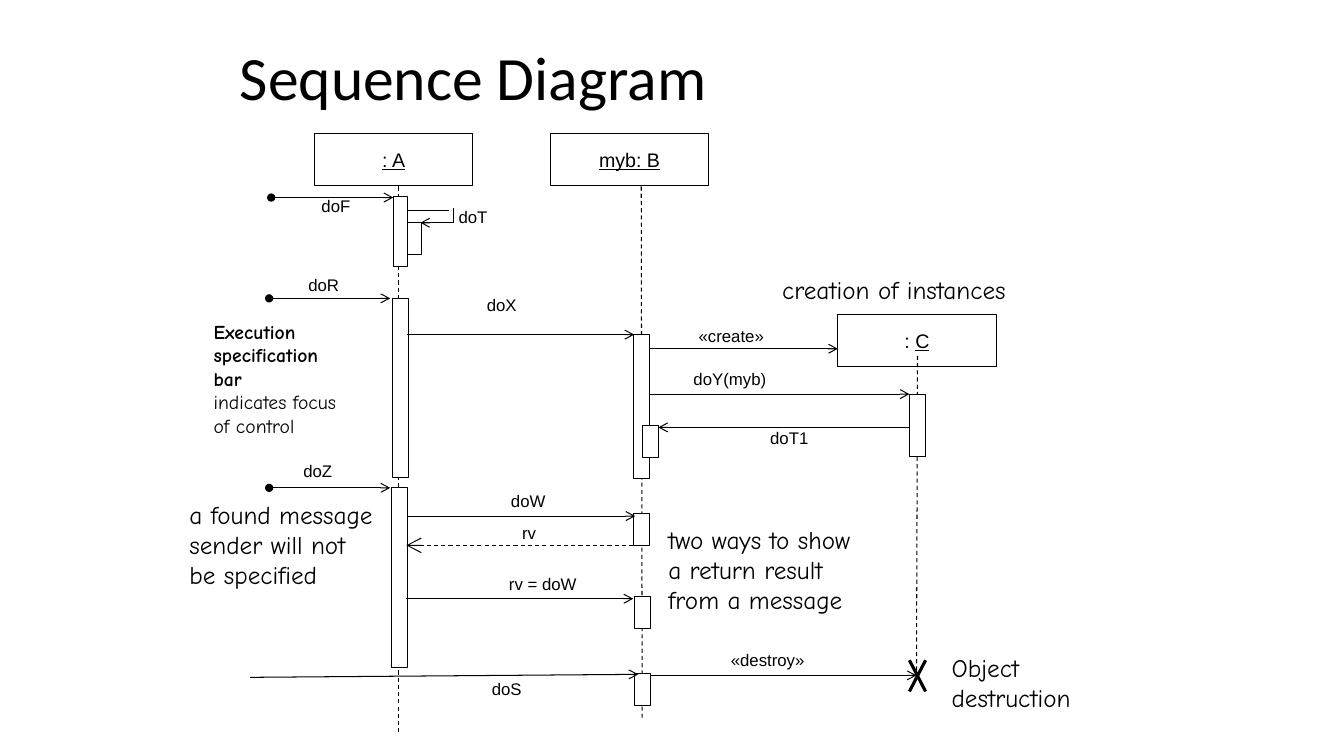
from lxml import etree
from pptx import Presentation
from pptx.dml.color import RGBColor
from pptx.enum.dml import MSO_LINE
from pptx.enum.shapes import MSO_CONNECTOR, MSO_SHAPE
from pptx.enum.text import MSO_ANCHOR, MSO_AUTO_SIZE, PP_ALIGN
from pptx.oxml.ns import qn
from pptx.util import Pt

EMU_PER_PX = 9144  # 100 px to the inch
BLACK = RGBColor(0x00, 0x00, 0x00)
WHITE = RGBColor(0xFF, 0xFF, 0xFF)
RECTANGLE = MSO_SHAPE.RECTANGLE
STRAIGHT = MSO_CONNECTOR.STRAIGHT
DASH = MSO_LINE.DASH
MIDDLE = MSO_ANCHOR.MIDDLE
CENTER = PP_ALIGN.CENTER
GROW = MSO_AUTO_SIZE.SHAPE_TO_FIT_TEXT
BAR_WIDTH = 16
SHORT_BAR = 32


def px(*lengths):
    return [round(length * EMU_PER_PX) for length in lengths]


class SequenceDiagram:
    title_font, label_font, note_font = "Calibri", "Arial", "Comic Neue"

    def __init__(self, slide):
        self.slide = slide

    def run(self, paragraph, text, font, size, bold=False, underline=False):
        run = paragraph.add_run()
        run.text = text
        run.font.name = font
        run.font.size = Pt(size)
        run.font.color.rgb = BLACK
        if bold:
            run.font.bold = True
        if underline:
            run.font.underline = True

    def title(self, text, x, y, width, height):
        frame = self.slide.shapes.add_textbox(*px(x, y, width, height)).text_frame
        frame.word_wrap = True
        frame.vertical_anchor = MIDDLE
        frame.paragraphs[0].line_spacing = 0.9
        self.run(frame.paragraphs[0], text, self.title_font, 44)

    def text(self, lines, x, y, width, height, font, size, bold_lines=0, wrap=False):
        frame = self.slide.shapes.add_textbox(*px(x, y, width, height)).text_frame
        frame.word_wrap = wrap
        frame.auto_size = GROW
        for index, line in enumerate(lines):
            paragraph = frame.add_paragraph() if index else frame.paragraphs[0]
            self.run(paragraph, line, font, size, bold=index < bold_lines)

    def label(self, text, x, y, width):
        self.text([text], x, y, width, 30, self.label_font, 12)

    def note(self, lines, x, y, width, height, size=18, **style):
        self.text(lines, x, y, width, height, self.note_font, size, **style)

    def box(self, x, y, width, height):
        shape = self.slide.shapes.add_shape(RECTANGLE, *px(x, y, width, height))
        shape.shadow.inherit = False
        shape.fill.background()
        shape.line.color.rgb = BLACK
        shape.line.width = Pt(0.75)
        return shape

    def participant(self, x, y, parts):
        """Draw a head box; parts are (text, underlined) pairs."""
        frame = self.box(x, y, 157, 52).text_frame
        frame.word_wrap = False
        frame.vertical_anchor = MIDDLE
        frame.paragraphs[0].alignment = CENTER
        for text, underlined in parts:
            self.run(frame.paragraphs[0], text, self.label_font, 14, underline=underlined)

    def bar(self, x, y, height=SHORT_BAR, width=BAR_WIDTH):
        bar = self.box(x, y, width, height)
        bar.fill.solid()
        bar.fill.fore_color.rgb = WHITE

    def line(self, start, end, weight=0.75, dashed=False, head=None, tail=None, tail_size="med"):
        connector = self.slide.shapes.add_connector(STRAIGHT, *px(*start, *end))
        connector.line.color.rgb = BLACK
        connector.line.width = Pt(weight)
        if dashed:
            connector.line.dash_style = DASH
        properties = connector.line._get_or_add_ln()
        for tag, kind, size in (("a:headEnd", head, "med"), ("a:tailEnd", tail, tail_size)):
            if kind:
                etree.SubElement(properties, qn(tag), type=kind, w=size, len=size)
        etree.SubElement(connector._element.spPr, qn("a:effectLst"))

    def message(self, start, end, **style):
        self.line(start, end, tail="arrow", **style)

    def found_message(self, start, end):
        self.message(start, end, head="oval")


def main():
    presentation = Presentation()
    presentation.slide_width, presentation.slide_height = px(1333, 750)
    diagram = SequenceDiagram(presentation.slides.add_slide(presentation.slide_layouts[6]))

    diagram.title("Sequence Diagram", 228, 5, 900, 150)

    # Participants and their lifelines
    diagram.participant(312, 132, [(": A", True)])
    diagram.participant(546, 132, [("myb: B", True)])
    diagram.participant(831, 312, [(": ", False), ("C", True)])
    for start, end in (
        ((395, 185), (395, 727)),
        ((636, 185), (637, 712)),
        ((910, 353), (909, 670)),
    ):
        diagram.line(start, end, dashed=True)

    # Execution bars of A, with the nested self-call first
    diagram.bar(402, 221)
    diagram.bar(390, 195, 69, width=14)
    diagram.bar(389, 296, 178)
    diagram.bar(388, 484, 178)

    # Execution bars of B and C
    diagram.bar(628, 332, 143)
    diagram.bar(637, 422)
    diagram.bar(628, 509)
    diagram.bar(629, 592)
    diagram.bar(629, 668)
    diagram.bar(902, 391, 62)

    # Found messages, entering A from unspecified senders
    for start, end in (
        ((269, 196), (390, 196)),
        ((267, 296), (387, 296)),
        ((267, 484), (387, 484)),
    ):
        diagram.found_message(start, end)

    # Self-call doT
    diagram.line((404, 209), (445, 209))
    diagram.line((450, 206), (450, 221))
    diagram.message((450, 221), (417, 221))

    # Messages between participants
    for start, end in (
        ((404, 332), (629, 332)),
        ((645, 346), (831, 346)),
        ((644, 391), (902, 391)),
        ((902, 424), (653, 424)),
        ((405, 512), (630, 512)),
        ((403, 594), (628, 594)),
        ((248, 672), (633, 669)),
        ((645, 670), (909, 670)),
    ):
        diagram.message(start, end)
    diagram.message((628, 541), (403, 541), dashed=True, tail_size="lg")

    # Cross that ends the lifeline of C
    diagram.line((902, 655), (918, 686), weight=2.25)
    diagram.line((918, 655), (902, 686), weight=2.25)

    # Message names
    for name, x, y, width in (
        ("doF", 309, 189, 49),
        ("doT", 445, 200, 49),
        ("doR", 296, 268, 51),
        ("doX", 473, 287, 50),
        ("«create»", 683, 318, 85),
        ("doY(myb)", 678, 361, 93),
        ("doT1", 754, 419, 58),
        ("doZ", 291, 452, 49),
        ("doW", 497, 482, 54),
        ("rv", 508, 514, 34),
        ("rv = doW", 495, 564, 87),
        ("«destroy»", 715, 640, 93),
        ("doS", 478, 668, 50),
    ):
        diagram.label(name, x, y, width)

    # Explanatory notes
    diagram.note(["creation of instances"], 766, 267, 266, 40)
    diagram.note(["a found message", "sender will not", "be specified"], 178, 490, 212, 100)
    diagram.note(["two ways to show", "a return result", "from a message"], 653, 515, 222, 100)
    diagram.note(["Object", "destruction"], 934, 642, 155, 70)
    diagram.note(
        ["Execution", "specification", "bar", "indicates focus", "of control"],
        202, 312, 182, 128, size=14, bold_lines=3, wrap=True,
    )

    presentation.save("out.pptx")


if __name__ == "__main__":
    main()
